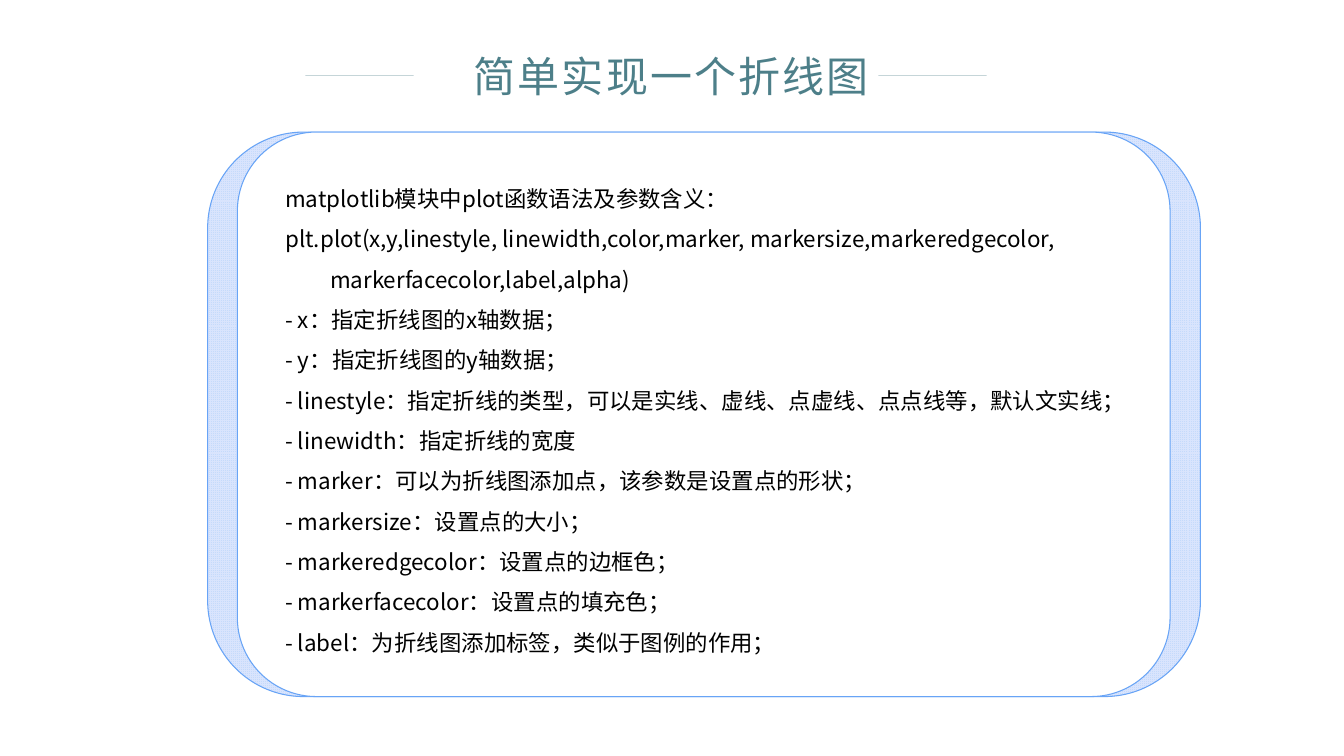
from dataclasses import dataclass
from typing import Optional

from lxml import etree
from pptx import Presentation
from pptx.dml.color import RGBColor
from pptx.enum.dml import MSO_PATTERN
from pptx.enum.shapes import MSO_CONNECTOR, MSO_SHAPE
from pptx.enum.text import MSO_ANCHOR, PP_ALIGN
from pptx.oxml.ns import qn
from pptx.util import Inches, Pt

STRAIGHT = MSO_CONNECTOR.STRAIGHT
ROUNDED = MSO_SHAPE.ROUNDED_RECTANGLE
GRID = MSO_PATTERN.LARGE_GRID
MIDDLE, TOP = MSO_ANCHOR.MIDDLE, MSO_ANCHOR.TOP
CENTER, LEFT = PP_ALIGN.CENTER, PP_ALIGN.LEFT

TEAL = RGBColor(0x4D, 0x7F, 0x89)
BLUE = RGBColor(0x68, 0xA4, 0xF6)
PALE = RGBColor(0xD9, 0xE4, 0xFD)
SKY = RGBColor(0xC5, 0xDA, 0xFB)
WHITE = RGBColor(0xFF, 0xFF, 0xFF)
BLACK = RGBColor(0, 0, 0)

WIDTH, HEIGHT = Inches(26.67), Inches(15)
CJK_FONT = "Noto Sans CJK SC"
CODE_INDENT = Inches(0.89)


@dataclass(frozen=True)
class Box:
    left: float
    top: float
    width: float
    height: float

    def emu(self) -> tuple[int, int, int, int]:
        return (int(WIDTH * self.left / 100), int(HEIGHT * self.top / 100),
                int(WIDTH * self.width / 100), int(HEIGHT * self.height / 100))


@dataclass(frozen=True)
class Panel:
    box: Box
    corner: float
    fill: RGBColor
    grid: Optional[RGBColor] = None


@dataclass(frozen=True)
class TextStyle:
    font: dict
    color: RGBColor
    paragraph: dict
    frame: dict
    tracking: int = 0


@dataclass(frozen=True)
class Line:
    text: str
    indent: int = 0


RULES = [Box(22.72, 10, 8.06, 0), Box(65.35, 10, 8.06, 0)]
PANELS = [
    Panel(Box(15.45, 17.47, 73.87, 74.67), 0.17, SKY, PALE),
    Panel(Box(17.66, 17.47, 69.4, 74.67), 0.14, WHITE),
]
TITLE_BOX = Box(32.92, 6.33, 34.05, 7.4)
BODY_BOX = Box(20.85, 22.4, 64.04, 64.6)
TITLE_STYLE = TextStyle(
    {"name": "Calibri", "size": Pt(60)}, TEAL, {"alignment": CENTER},
    {"word_wrap": False, "vertical_anchor": MIDDLE}, 300)
BODY_STYLE = TextStyle(
    {"name": CJK_FONT, "size": Pt(32)}, BLACK,
    {"alignment": LEFT, "line_spacing": Pt(57.6)},
    {"word_wrap": True, "vertical_anchor": TOP})

PARAMETERS = {
    "x": "指定折线图的x轴数据；",
    "y": "指定折线图的y轴数据；",
    "linestyle": "指定折线的类型，可以是实线、虚线、点虚线、点点线等，默认文实线；",
    "linewidth": "指定折线的宽度",
    "marker": "可以为折线图添加点，该参数是设置点的形状；",
    "markersize": "设置点的大小；",
    "markeredgecolor": "设置点的边框色；",
    "markerfacecolor": "设置点的填充色；",
    "label": "为折线图添加标签，类似于图例的作用；",
}
TITLE = [Line("简单实现一个折线图")]
BODY = [
    Line("matplotlib模块中plot函数语法及参数含义："),
    Line("plt.plot(x,y,linestyle, linewidth,color,marker, markersize,markeredgecolor,"),
    Line("markerfacecolor,label,alpha)", CODE_INDENT),
    *(Line(f"- {name}：{meaning}") for name, meaning in PARAMETERS.items()),
]


def set_values(target, values: dict) -> None:
    for name, value in values.items():
        setattr(target, name, value)


def add_rule(s, box: Box) -> None:
    x, y, w, h = box.emu()
    rule = s.shapes.add_connector(STRAIGHT, x, y, x + w, y + h)
    rule.line.width = Pt(1)
    rule.line.color.rgb = TEAL
    color = rule.line._ln.find(".//" + qn("a:srgbClr"))
    etree.SubElement(color, qn("a:alpha"), val="50000")
    etree.SubElement(rule._element.spPr, qn("a:effectLst"))


def add_panel(s, panel: Panel) -> None:
    sp = s.shapes.add_shape(ROUNDED, *panel.box.emu())
    sp.adjustments[0] = panel.corner
    sp.shadow.inherit = False
    sp.line.color.rgb = BLUE
    sp.line.width = Pt(1.5)
    if panel.grid is None:
        sp.fill.solid()
        sp.fill.fore_color.rgb = panel.fill
    else:
        sp.fill.patterned()
        sp.fill.pattern = GRID
        sp.fill.fore_color.rgb = panel.grid
        sp.fill.back_color.rgb = panel.fill


def add_text(s, box: Box, lines: list[Line], style: TextStyle) -> None:
    tf = s.shapes.add_textbox(*box.emu()).text_frame
    set_values(tf, style.frame)
    for i, line in enumerate(lines):
        p = tf.add_paragraph() if i else tf.paragraphs[0]
        set_values(p, style.paragraph)
        if line.indent:
            p._p.get_or_add_pPr().set("marL", str(line.indent))
        r = p.add_run()
        r.text = line.text
        set_values(r.font, style.font)
        r.font.color.rgb = style.color
        rPr = r._r.get_or_add_rPr()
        etree.SubElement(rPr, qn("a:ea"), typeface=CJK_FONT)
        if style.tracking:
            rPr.set("spc", str(style.tracking))


def main() -> None:
    prs = Presentation()
    set_values(prs, {"slide_width": WIDTH, "slide_height": HEIGHT})
    s = prs.slides.add_slide(prs.slide_layouts[6])
    for rule in RULES:
        add_rule(s, rule)
    add_text(s, TITLE_BOX, TITLE, TITLE_STYLE)
    for panel in PANELS:
        add_panel(s, panel)
    add_text(s, BODY_BOX, BODY, BODY_STYLE)
    prs.save("out.pptx")


if __name__ == "__main__":
    main()
